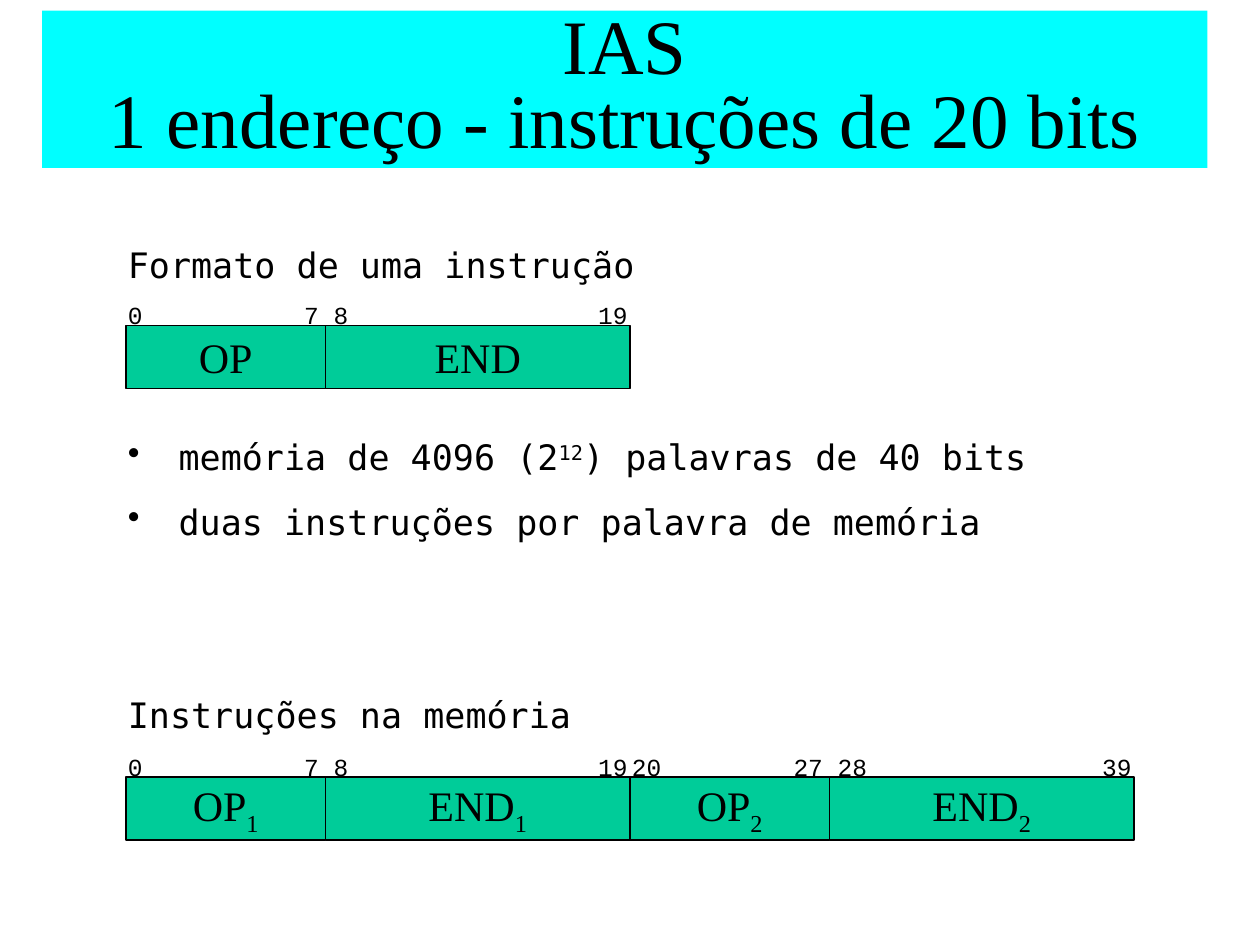
from dataclasses import dataclass

from lxml.etree import SubElement
from pptx import Presentation
from pptx.dml.color import RGBColor
from pptx.enum.shapes import MSO_SHAPE
from pptx.enum.text import MSO_ANCHOR, MSO_AUTO_SIZE, PP_ALIGN
from pptx.oxml.ns import qn
from pptx.util import Pt

COLORS = {"title": "00FFFF", "field": "00CC99", "ink": "000000"}
SERIF, MONO, RULER = "Times New Roman", "DejaVu Sans Mono", "Courier New"

# Instruction word geometry, in points
WORD_LEFT, OP_WIDTH, END_WIDTH, FIELD_HEIGHT = 72, 114, 174, 36
WORD_WIDTH = OP_WIDTH + END_WIDTH
CHARACTER = 8.4  # advance of one ruler digit
RULER_STOPS = ((13, "r"), (14, "l"), (34, "r"))  # column, alignment


@dataclass
class Piece:
    text: str
    baseline: int = 0  # percent above (+) or below (-) the line


@dataclass
class Line:
    pieces: list[Piece]
    space_before: float = 0
    bullet: bool = False


@dataclass
class Instruction:
    left: float
    top: float
    bits: tuple[int, int, int, int]
    index: str = ""


BODY = [
    Line([Piece("Formato de uma instrução")]),
    Line([Piece("memória de 4096 (2"), Piece("12", 30),
          Piece(") palavras de 40 bits")], 86, True),
    Line([Piece("duas instruções por palavra de memória")], 13, True),
    Line([Piece("Instruções na memória")], 86),
]

INSTRUCTIONS = [
    Instruction(WORD_LEFT, 186, (0, 7, 8, 19)),
    Instruction(WORD_LEFT, 444, (0, 7, 8, 19), "1"),
    Instruction(WORD_LEFT + WORD_WIDTH, 444, (20, 27, 28, 39), "2"),
]


def color(name: str) -> RGBColor:
    return RGBColor.from_string(COLORS[name])


def add_run(paragraph, piece: Piece, font: str, size: float) -> None:
    run = paragraph.add_run()
    run.text = piece.text
    run.font.name = font
    run.font.size = Pt(size)
    run.font.color.rgb = color("ink")
    if piece.baseline:
        run._r.get_or_add_rPr().set("baseline", str(piece.baseline * 1000))


def add_text_frame(slide, left: float, top: float, width: float, height: float):
    box = slide.shapes.add_textbox(Pt(left), Pt(top), Pt(width), Pt(height))
    box.text_frame.word_wrap = True
    return box.text_frame


def add_bullet(paragraph) -> None:
    properties = paragraph._p.get_or_add_pPr()
    properties.set("marL", str(Pt(29)))
    properties.set("indent", str(-Pt(29)))
    SubElement(properties, qn("a:buChar"), char="•")


def add_title(slide) -> None:
    title = slide.shapes.title
    title.left, title.top, title.width, title.height = Pt(24), Pt(6), Pt(666), Pt(90)
    title.fill.solid()
    title.fill.fore_color.rgb = color("title")
    frame = title.text_frame
    frame.auto_size = MSO_AUTO_SIZE.NONE
    frame.vertical_anchor = MSO_ANCHOR.MIDDLE
    paragraph = frame.paragraphs[0]
    paragraph.alignment = PP_ALIGN.CENTER
    paragraph.line_spacing = 0.8
    add_run(paragraph, Piece("IAS"), SERIF, 44)
    paragraph.add_line_break()
    add_run(paragraph, Piece("1 endereço - instruções de 20 bits"), SERIF, 44)


def add_body(slide, lines: list[Line]) -> None:
    frame = add_text_frame(slide, 66, 135.4, 612, 287)
    for number, line in enumerate(lines):
        paragraph = frame.add_paragraph() if number else frame.paragraphs[0]
        if line.bullet:
            add_bullet(paragraph)
        if line.space_before:
            paragraph.space_before = Pt(line.space_before)
        for piece in line.pieces:
            add_run(paragraph, piece, MONO, 20)


def add_ruler(slide, instruction: Instruction) -> None:
    frame = add_text_frame(slide, instruction.left - 6, instruction.top - 18, 306, 24.5)
    paragraph = frame.paragraphs[0]
    tabs = SubElement(paragraph._p.get_or_add_pPr(), qn("a:tabLst"))
    for column, alignment in RULER_STOPS:
        SubElement(tabs, qn("a:tab"), pos=str(Pt(column * CHARACTER)), algn=alignment)
    add_run(paragraph, Piece("\t".join(map(str, instruction.bits))), RULER, 14)


def add_field(slide, left: float, top: float, width: float, name: str, index: str) -> None:
    field = slide.shapes.add_shape(
        MSO_SHAPE.RECTANGLE, Pt(left), Pt(top), Pt(width), Pt(FIELD_HEIGHT))
    field.shadow.inherit = False
    field.fill.solid()
    field.fill.fore_color.rgb = color("field")
    field.line.color.rgb = color("ink")
    field.line.width = Pt(0.75)
    frame = field.text_frame
    frame.word_wrap = False
    frame.vertical_anchor = MSO_ANCHOR.MIDDLE
    paragraph = frame.paragraphs[0]
    paragraph.alignment = PP_ALIGN.CENTER
    add_run(paragraph, Piece(name), SERIF, 24)
    if index:
        add_run(paragraph, Piece(index, -25), SERIF, 24)


def add_instruction(slide, instruction: Instruction) -> None:
    left, top, index = instruction.left, instruction.top, instruction.index
    add_ruler(slide, instruction)
    add_field(slide, left, top, OP_WIDTH, "OP", index)
    add_field(slide, left + OP_WIDTH, top, END_WIDTH, "END", index)


def main() -> None:
    presentation = Presentation()
    presentation.slide_width, presentation.slide_height = Pt(720), Pt(540)
    slide = presentation.slides.add_slide(presentation.slide_layouts[5])

    # Title and running text
    add_title(slide)
    add_body(slide, BODY)

    # Instruction formats with their bit rulers
    for instruction in INSTRUCTIONS:
        add_instruction(slide, instruction)

    presentation.save("out.pptx")


if __name__ == "__main__":
    main()
